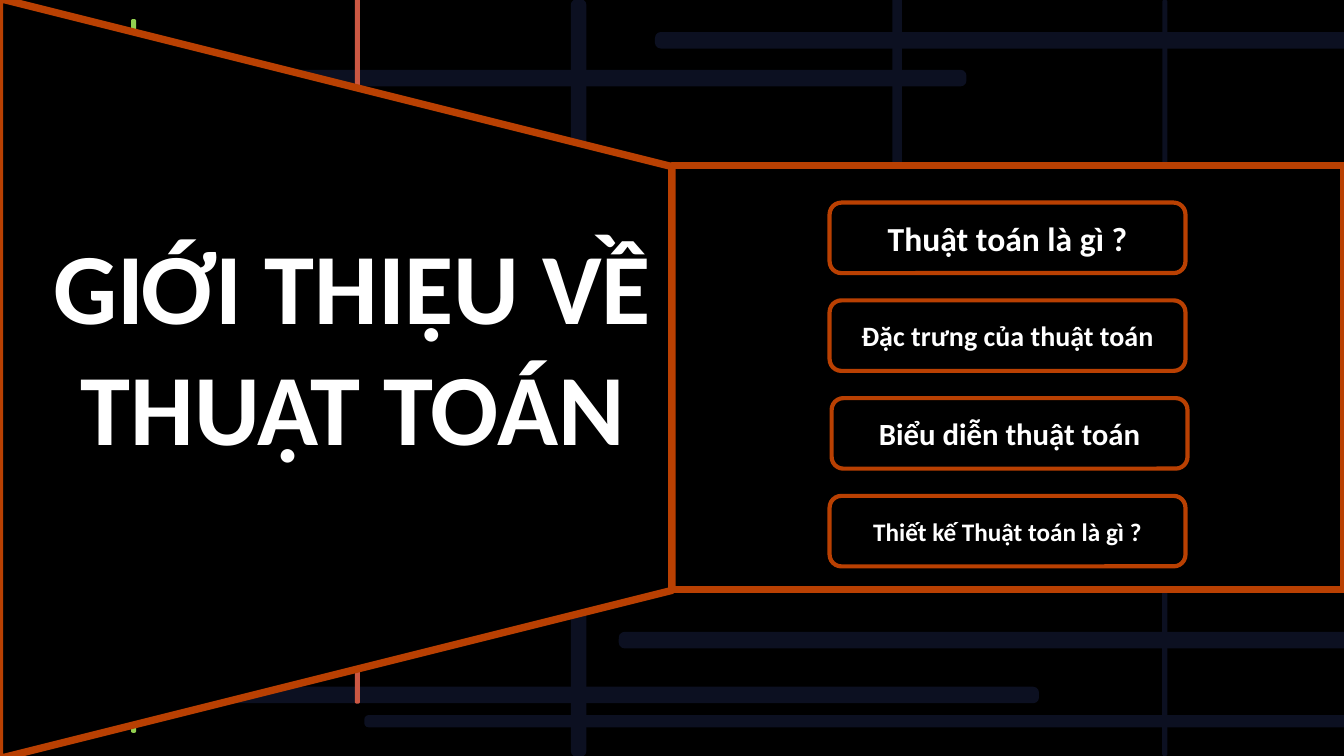
from dataclasses import dataclass
from typing import Optional

from pptx import Presentation
from pptx.dml.color import RGBColor
from pptx.enum.shapes import MSO_SHAPE
from pptx.enum.text import MSO_ANCHOR, MSO_AUTO_SIZE, PP_ALIGN
from pptx.util import Inches, Pt

BLACK, WHITE, ORANGE = "000000", "FFFFFF", "B94002"
NAVY, GREEN, CORAL = "0C1021", "92D050", "CC5843"

deck = Presentation()
deck.slide_width, deck.slide_height = Inches(13.333), Inches(7.5)
page = deck.slides.add_slide(deck.slide_layouts[6])
COLUMN = deck.slide_width / 100
ROW = deck.slide_height / 100


@dataclass
class Area:
    column: float
    row: float
    columns: float
    rows: float

    def lengths(self) -> tuple[int, ...]:
        return (round(self.column * COLUMN), round(self.row * ROW),
                round(self.columns * COLUMN), round(self.rows * ROW))


@dataclass
class Block:
    area: Area
    fill: str = BLACK
    line: Optional[str] = None
    weight: float = 1
    preset: MSO_SHAPE = MSO_SHAPE.RECTANGLE
    adjustment: Optional[float] = None
    rotation: float = 0


@dataclass
class Bar:
    area: Area
    fill: str = NAVY
    line: Optional[str] = None


@dataclass
class Topic:
    text: str
    size: int
    shift: float = 0


def colour(value: str) -> RGBColor:
    return RGBColor.from_string(value)


def draw_block(block: Block):
    box = page.shapes.add_shape(block.preset, *block.area.lengths())
    box.shadow.inherit = False
    box.rotation = block.rotation
    box.fill.solid()
    box.fill.fore_color.rgb = colour(block.fill)
    if block.line:
        box.line.color.rgb = colour(block.line)
        box.line.width = Pt(block.weight)
    else:
        box.line.fill.background()
    if block.adjustment is not None:
        box.adjustments[0] = block.adjustment
    return box


def write(box, text: str, size: int, anchor: MSO_ANCHOR) -> None:
    frame = box.text_frame
    frame.word_wrap = True
    frame.vertical_anchor = anchor
    para = frame.paragraphs[0]
    para.alignment = PP_ALIGN.CENTER
    span = para.add_run()
    span.text = text
    span.font.color.rgb = colour(WHITE)
    for name, value in {"name": "Calibri", "size": Pt(size), "bold": True}.items():
        setattr(span.font, name, value)


def draw_bar(bar: Bar) -> None:
    draw_block(Block(bar.area, bar.fill, bar.line,
                     preset=MSO_SHAPE.ROUNDED_RECTANGLE, adjustment=0.34))


def draw_topic(index: int, topic: Topic) -> None:
    area = Area(61.73 + topic.shift, 26.8 + 12.93 * index, 26.48, 9.33)
    box = draw_block(Block(area, line=ORANGE, weight=3,
                           preset=MSO_SHAPE.ROUNDED_RECTANGLE))
    write(box, topic.text, topic.size, MSO_ANCHOR.MIDDLE)


BARS = [
    Bar(Area(9.75, 2.53, 0.38, 94.4), GREEN),
    Bar(Area(0.68, 9.33, 71.18, 2), line=NAVY),
    Bar(Area(86.48, 0, 0.38, 100)),
    Bar(Area(0.68, 90.93, 76.58, 2), line=NAVY),
    Bar(Area(42.53, 0, 1.05, 100), line=NAVY),
    Bar(Area(26.4, -1.33, 0.38, 94.4), CORAL),
    Bar(Area(46.09, 83.67, 54.6, 2), line=NAVY),
    Bar(Area(66.45, -1.33, 0.6, 61.47), line=NAVY),
    Bar(Area(48.79, 4.33, 51.9, 2), line=NAVY),
    Bar(Area(27.11, 94.6, 73.58, 1.6)),
]
TOPICS = [
    Topic("Thuật toán là gì ?", 24),
    Topic("Đặc trưng của thuật toán", 20),
    Topic("Biểu diễn thuật toán", 22, shift=0.15),
    Topic("Thiết kế Thuật toán là gì ?", 18),
]


def main() -> None:
    draw_block(Block(Area(0, -0.53, 100, 100.53)))
    for bar in BARS:
        draw_bar(bar)
    draw_block(Block(Area(50, 21.87, 50, 56.13), line=ORANGE, weight=5))
    draw_block(Block(Area(-3.3, 5.6, 56.55, 88.93), line=ORANGE, weight=5.25,
                     preset=MSO_SHAPE.TRAPEZOID, adjustment=0.25, rotation=90))
    title = page.shapes.add_textbox(*Area(-1.58, 28.93, 55.65, 51.6).lengths())
    write(title, "GIỚI THIỆU VỀ THUẬT TOÁN", 72, MSO_ANCHOR.TOP)
    title.text_frame.auto_size = MSO_AUTO_SIZE.SHAPE_TO_FIT_TEXT
    for index, topic in enumerate(TOPICS):
        draw_topic(index, topic)
    deck.save("out.pptx")


if __name__ == "__main__":
    main()
